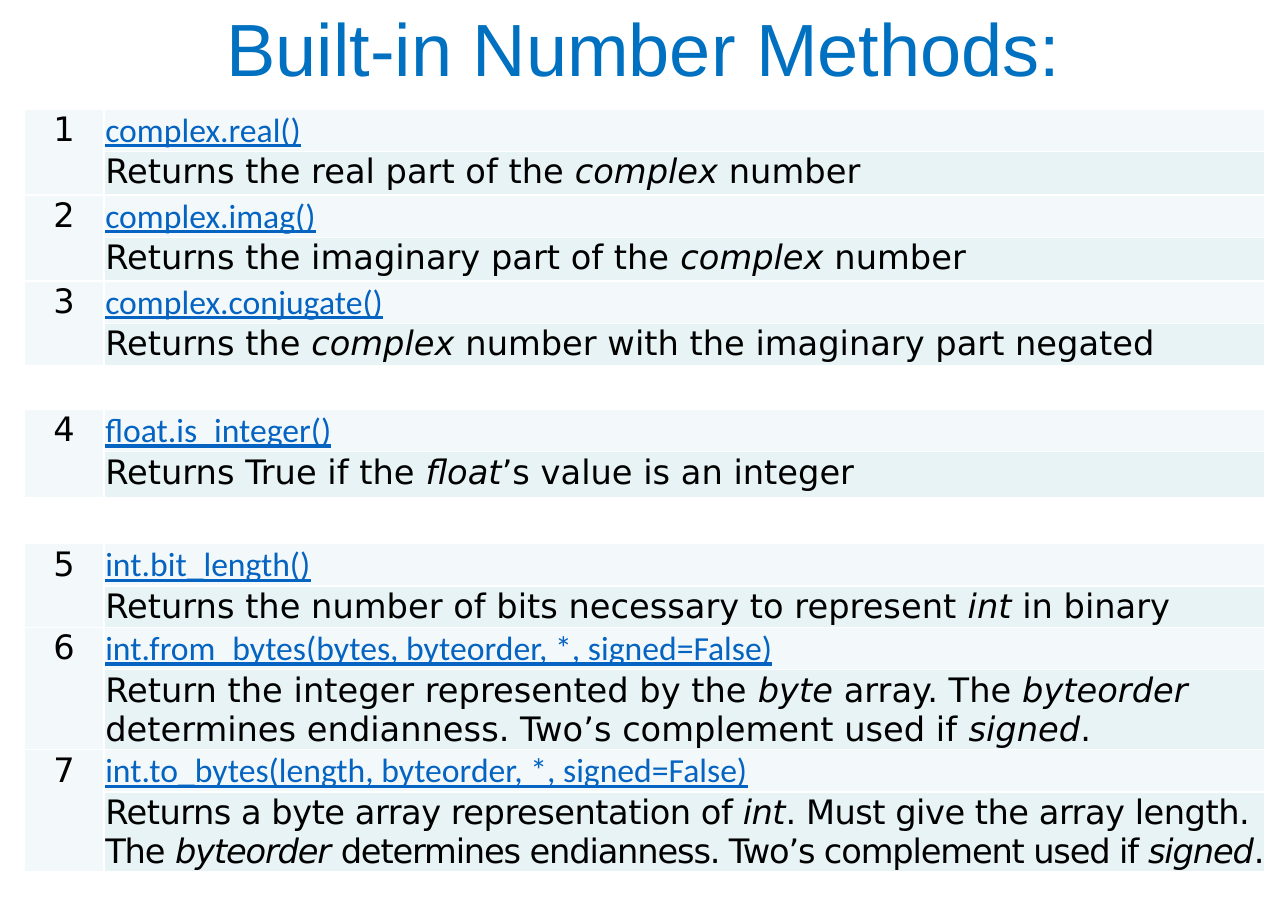
from lxml import etree
from pptx import Presentation
from pptx.dml.color import RGBColor
from pptx.enum.text import MSO_ANCHOR, PP_ALIGN
from pptx.oxml.ns import qn
from pptx.util import Inches, Pt

CENTER = PP_ALIGN.CENTER
LEFT = PP_ALIGN.LEFT
MIDDLE = MSO_ANCHOR.MIDDLE
TOP = MSO_ANCHOR.TOP

BODY_FONT = "DejaVu Sans"
SIGNATURE_FONT = "Calibri"
SIGNATURE_FILL = "F3F9FA"
DESCRIPTION_FILL = "E7F3F4"
WHITE = "FFFFFF"
BLACK = "000000"
LINK_BLUE = "0563C1"
TITLE_BLUE = "0070C0"
SIGNATURE_HEIGHT = 0.35
COLUMN_WIDTHS = (0.66, 9.59)

# Each method: signature, description portions with letter spacing, description height.
METHODS = [
    ("complex.real()", [("Returns the real part of the *complex* number", 0)], 0.36),
    ("complex.imag()", [("Returns the imaginary part of the *complex* number", 0)], 0.36),
    ("complex.conjugate()",
     [("Returns the *complex *number with the imaginary part negated", 0)], 0.35),
    ("float.is_integer()", [("Returns True if the *float*’s value is an integer", 0)], 0.38),
    ("int.bit_length()",
     [("Returns the number of bits necessary to represent *int* in binary", 0)], 0.34),
    ("int.from_bytes(bytes, byteorder, *, signed=False)",
     [("Return the integer represented by the *byte* array. The *byteorder* "
       "determines endianness. Two’s complement used if *signed*.", 0)], 0.66),
    ("int.to_bytes(length, byteorder, *, signed=False)",
     [("Returns a byte array representation of *int*. Must give the array length. ", -0.3),
      ("The *byteorder* determines endianness. Two’s complement used if *signed*.", -0.7)],
     0.65),
]
GAPS_BEFORE = {4: (0.36, True), 5: (0.38, False)}


def color(hex_value):
    return RGBColor.from_string(hex_value)


def add_borders(cell):
    properties = cell._tc.get_or_add_tcPr()
    for position, side in enumerate(("a:lnL", "a:lnR", "a:lnT", "a:lnB")):
        line = etree.Element(qn(side), w=str(Pt(1)))
        fill = etree.SubElement(line, qn("a:solidFill"))
        etree.SubElement(fill, qn("a:srgbClr"), val=WHITE)
        properties.insert(position, line)


def format_cell(cell, fill, side_margin=0):
    cell.fill.solid()
    cell.fill.fore_color.rgb = color(fill)
    cell.margin_left = Inches(side_margin)
    cell.margin_right = cell.margin_bottom = 0
    cell.margin_top = Inches(0.01)
    cell.vertical_anchor = TOP
    add_borders(cell)


def write_cell(cell, portions, font_name, text_color, alignment=LEFT, underline=False):
    paragraph = cell.text_frame.paragraphs[0]
    paragraph.alignment = alignment
    paragraph.font.name = font_name
    paragraph.font.size = Pt(20)
    paragraph.font.color.rgb = color(text_color)
    paragraph.font.underline = underline
    for pieces, spacing in portions:
        for index, piece in enumerate(pieces):
            run = paragraph.add_run()
            run.text = piece
            if index % 2:
                run.font.italic = True
            if spacing:
                run._r.get_or_add_rPr().set("spc", str(round(spacing * 100)))


def add_title(slide, left, top, width, height):
    title = slide.shapes.title
    title.left, title.top = Inches(left), Inches(top)
    title.width, title.height = Inches(width), Inches(height)
    title.text_frame.text = "Built-in Number Methods:"
    title.text_frame.vertical_anchor = MIDDLE
    paragraph = title.text_frame.paragraphs[0]
    paragraph.alignment = CENTER
    paragraph.line_spacing = 0.9
    paragraph.font.name = "Arial"
    paragraph.font.size = Pt(44)
    paragraph.font.color.rgb = color(TITLE_BLUE)


def add_method(table, row, number, signature, description):
    number_cell, signature_cell = table.cell(row, 0), table.cell(row, 1)
    description_cell = table.cell(row + 1, 1)
    format_cell(number_cell, SIGNATURE_FILL)
    format_cell(table.cell(row + 1, 0), SIGNATURE_FILL)
    format_cell(signature_cell, SIGNATURE_FILL, 0.01)
    format_cell(description_cell, DESCRIPTION_FILL, 0.01)
    number_cell.merge(table.cell(row + 1, 0))
    write_cell(number_cell, [([str(number)], 0)], BODY_FONT, BLACK, CENTER)
    write_cell(signature_cell, [([signature], 0)], SIGNATURE_FONT, LINK_BLUE, underline=True)
    portions = [(text.split("*"), spacing) for text, spacing in description]
    write_cell(description_cell, portions, BODY_FONT, BLACK)


def add_gap(table, row, merged):
    for column in range(len(COLUMN_WIDTHS)):
        format_cell(table.cell(row, column), WHITE)
    if merged:
        table.cell(row, 0).merge(table.cell(row, 1))


def add_method_table(slide, left, top, width, height):
    row_count = 2 * len(METHODS) + len(GAPS_BEFORE)
    frame = slide.shapes.add_table(row_count, len(COLUMN_WIDTHS), Inches(left), Inches(top),
                                   Inches(width), Inches(height))
    table = frame.table
    table.first_row = table.horz_banding = False
    for column, column_width in zip(table.columns, COLUMN_WIDTHS):
        column.width = Inches(column_width)
    row = 0
    for number, (signature, description, description_height) in enumerate(METHODS, 1):
        if number in GAPS_BEFORE:
            gap_height, merged = GAPS_BEFORE[number]
            table.rows[row].height = Inches(gap_height)
            add_gap(table, row, merged)
            row += 1
        table.rows[row].height = Inches(SIGNATURE_HEIGHT)
        table.rows[row + 1].height = Inches(description_height)
        add_method(table, row, number, signature, description)
        row += 2


def main():
    presentation = Presentation()
    presentation.slide_width = Inches(10.64)
    presentation.slide_height = Inches(7.5)
    slide = presentation.slides.add_slide(presentation.slide_layouts[5])
    add_title(slide, 0.07, 0, 10.5, 0.87)
    add_method_table(slide, 0.2, 0.9, sum(COLUMN_WIDTHS), 6.28)
    presentation.save("out.pptx")


if __name__ == "__main__":
    main()
